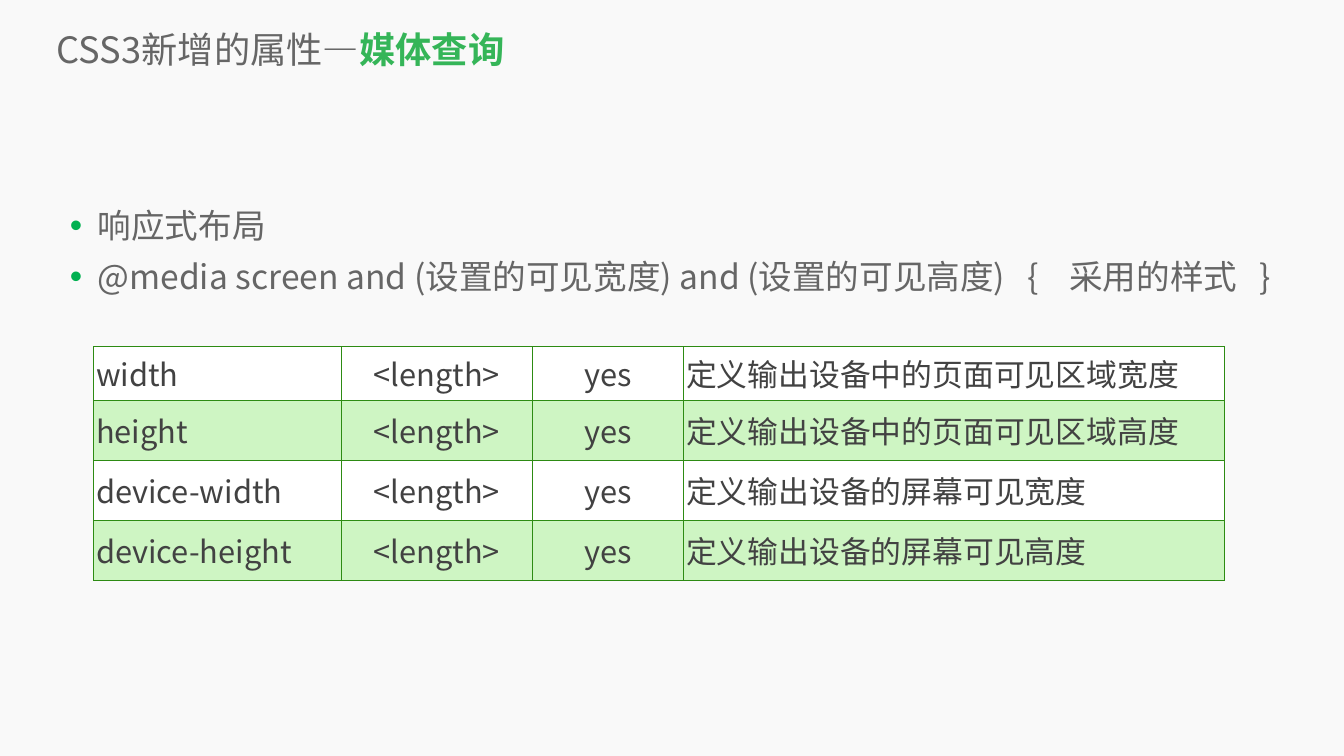
import pptx
import pptx.dml.color
import pptx.enum.text
import pptx.oxml
import pptx.oxml.ns
import pptx.util

EMU_PER_PX = 9525  # 96 px to the inch
FONT = "Noto Sans CJK SC"
COLORS = {
    "background": "F9F9F9",
    "body": "666666",
    "highlight": "35B558",
    "bullet": "00B050",
    "cell_text": "424242",
    "border": "2D8B13",
    "odd_row": "FFFFFF",
    "even_row": "CEF5C3",
}
ALIGN = pptx.enum.text.PP_ALIGN
MIDDLE = pptx.enum.text.MSO_ANCHOR.MIDDLE

SYNTAX_LINES = [
    "响应式布局",
    "@media screen and (设置的可见宽度) and (设置的可见高度)   {    采用的样式   }",
]
FEATURES = [
    ("width", "定义输出设备中的页面可见区域宽度"),
    ("height", "定义输出设备中的页面可见区域高度"),
    ("device-width", "定义输出设备的屏幕可见宽度"),
    ("device-height", "定义输出设备的屏幕可见高度"),
]
COLUMN_WIDTHS = [472, 364, 288, 1030]
ROW_HEIGHTS = [103, 114, 114, 114]


def px(length):
    return pptx.util.Emu(length * EMU_PER_PX)


def rgb(name):
    return pptx.dml.color.RGBColor.from_string(COLORS[name])


def xml(markup):
    """Parse one drawing element, written without its namespace declaration."""
    head, tail = markup.split(" ", 1)
    return pptx.oxml.parse_xml(f"{head} {pptx.oxml.ns.nsdecls('a')} {tail}")


def write(paragraph, text, size, color, bold=False, align=ALIGN.LEFT,
          hanging=None, line_spacing=None, space_before=0):
    """Add a run of text and format it together with its paragraph."""
    run = paragraph.add_run()
    run.text = text
    run.font.name = FONT
    run.font.size = pptx.util.Pt(size)
    run.font.bold = bold
    run.font.color.rgb = rgb(color)
    run.font._element.find(pptx.oxml.ns.qn("a:latin")).addnext(
        xml(f'<a:ea typeface="{FONT}"/>'))

    paragraph.alignment = align
    paragraph.space_before = pptx.util.Pt(space_before)
    if line_spacing:
        paragraph.line_spacing = line_spacing
    if hanging:
        margin, indent = hanging
        properties = paragraph._p.get_or_add_pPr()
        properties.set("marL", str(px(margin)))
        properties.set("indent", str(px(-indent)))


def add_bullet(paragraph):
    properties = paragraph._p.get_or_add_pPr()
    for markup in (
        f'<a:buClr ><a:srgbClr val="{COLORS["bullet"]}"/></a:buClr>',
        '<a:buSzPct val="105000"/>',
        '<a:buFont typeface="Arial"/>',
        '<a:buChar char="•"/>',
    ):
        properties.append(xml(markup))


def set_margins(target, margin):
    target.margin_left = target.margin_right = px(margin)
    target.margin_top = target.margin_bottom = px(margin)


def add_text_frame(slide, left, top, width, height):
    box = slide.shapes.add_textbox(px(left), px(top), px(width), px(height))
    frame = box.text_frame
    frame.word_wrap = True
    set_margins(frame, 0)
    return frame


def style_cell(cell, fill):
    set_margins(cell, 5)
    cell.vertical_anchor = MIDDLE
    properties = cell._tc.get_or_add_tcPr()
    for side in "LRTB":
        properties.append(xml(
            f'<a:ln{side} w="9525"><a:solidFill>'
            f'<a:srgbClr val="{COLORS["border"]}"/></a:solidFill></a:ln{side}>'))
    cell.fill.solid()
    cell.fill.fore_color.rgb = rgb(fill)


def add_title(slide):
    frame = add_text_frame(slide, 108, 45, 2415, 98)
    frame.vertical_anchor = MIDDLE
    heading = frame.paragraphs[0]
    write(heading, "CSS3新增的属性—", size=51.8, color="body")
    write(heading, "媒体查询", size=51.8, color="highlight", bold=True)


def add_syntax(slide):
    frame = add_text_frame(slide, 113, 371, 2344, 796)
    for index, line in enumerate(SYNTAX_LINES):
        paragraph = frame.add_paragraph() if index else frame.paragraphs[0]
        write(paragraph, line, size=48, color="body",
              hanging=(73, 53), line_spacing=1.26)
        add_bullet(paragraph)


def add_feature_table(slide):
    table = slide.shapes.add_table(
        len(ROW_HEIGHTS), len(COLUMN_WIDTHS), px(178), px(660),
        px(sum(COLUMN_WIDTHS)), px(sum(ROW_HEIGHTS))).table
    table.first_row = table.horz_banding = False
    for column, width in zip(table.columns, COLUMN_WIDTHS):
        column.width = px(width)
    for row, height in zip(table.rows, ROW_HEIGHTS):
        row.height = px(height)

    for r, (feature, meaning) in enumerate(FEATURES):
        for c, text in enumerate((feature, "<length>", "yes", meaning)):
            cell = table.cell(r, c)
            style_cell(cell, "even_row" if r % 2 else "odd_row")
            write(cell.text_frame.paragraphs[0], text, size=44,
                  color="cell_text",
                  align=ALIGN.CENTER if c in (1, 2) else ALIGN.LEFT,
                  hanging=(36, 36) if r else None,
                  space_before=0 if r else 8)


def main():
    presentation = pptx.Presentation()
    presentation.slide_width = px(2560)
    presentation.slide_height = px(1440)
    slide = presentation.slides.add_slide(presentation.slide_layouts[6])
    slide.background.fill.solid()
    slide.background.fill.fore_color.rgb = rgb("background")

    add_title(slide)
    add_syntax(slide)
    add_feature_table(slide)
    presentation.save("out.pptx")


if __name__ == "__main__":
    main()
